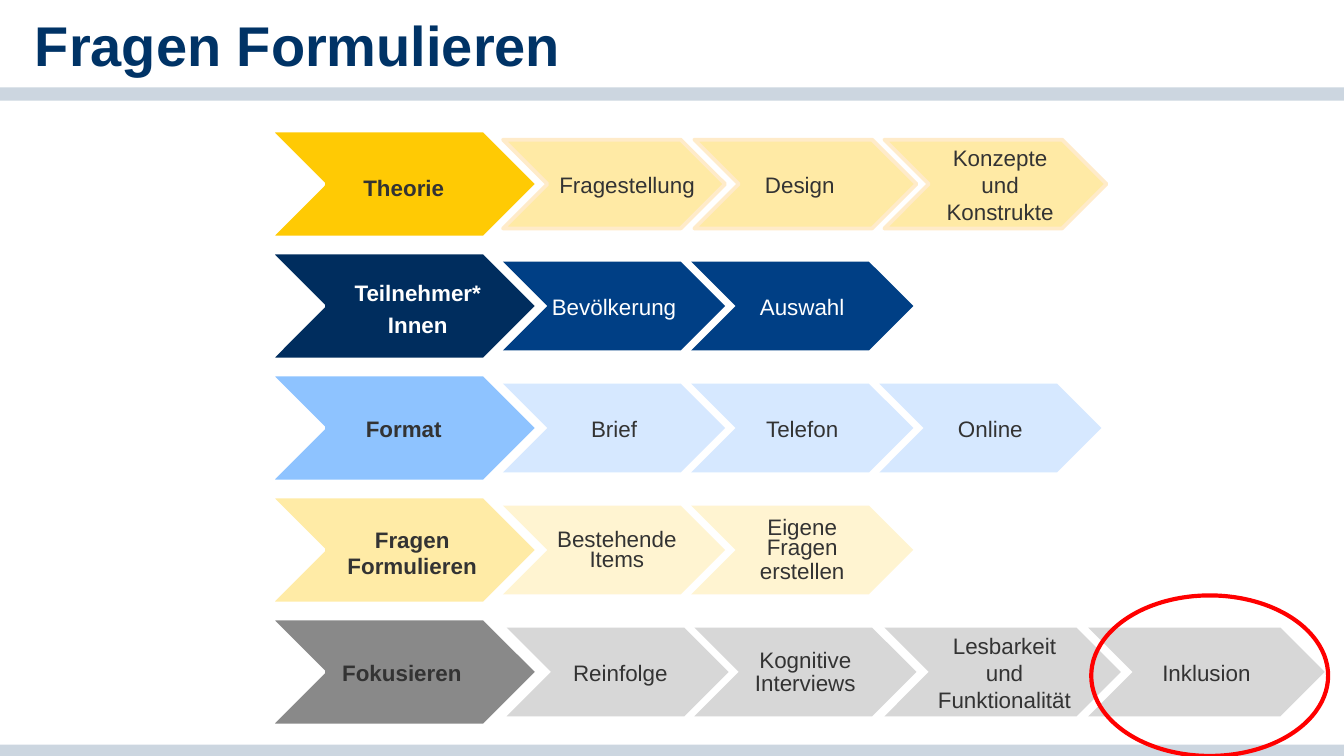
from lxml.etree import SubElement
from pptx import Presentation
from pptx.dml.color import RGBColor
from pptx.enum.shapes import MSO_SHAPE as Shape
from pptx.enum.text import MSO_ANCHOR as Anchor, MSO_AUTO_SIZE as AutoSize, PP_ALIGN as Align
from pptx.oxml.ns import qn
from pptx.util import Pt

DARK, WHITE, NAVY, BAR, RED = "333333", "FFFFFF", "003366", "CCD6E0", "FF0000"

# Row grid
FIRST_CENTER, ROW_PITCH = 98.6, 65.35
HEAD_LEFT, HEAD_WIDTH, HEAD_HEIGHT = 144.7, 143.3, 57.3
STEP_LEFT, STEP_PITCH, STEP_WIDTH, STEP_HEIGHT = 269.5, 100.8, 119, 47.6
WIDE_STEP = 126.7
LABEL_WIDTH, LABEL_HEIGHT = 72, 21.6

# Heading and steps: (text, label format); "left" and "width" override the grid
ROWS = [
    dict(fill="FFCA04", step_fill="FFE89A", step_line="FFEBC9", alpha=89,
         heading=("Theorie", dict(spacing=15.1, before=2.9, inset=3)),
         steps=[("Fragestellung", dict(shift=7, label_width=80)),
                ("Design", dict(left=372, shift=-3)),
                ("Konzepte und Konstrukte", dict(left=473.8, shift=2.5))]),
    dict(fill="002D5E", step_fill="003F85", color=WHITE,
         heading=("Teilnehmer*\nInnen",
                  dict(shift=7.5, label_width=84, spacing=14, before=2.8, inset=3)),
         steps=[("Bevölkerung", {}), ("Auswahl", {})]),
    dict(fill="8EC3FF", step_fill="D1E6FF", alpha=89,
         heading=("Format", {}),
         steps=[("Brief", {}), ("Telefon", {}), ("Online", {})]),
    dict(fill="FFEBA6", step_fill="FFF3CC", alpha=89,
         heading=("Fragen Formulieren", dict(shift=4.5, spacing=14, before=2.8, inset=3)),
         steps=[("Bestehende Items", dict(shift=1.5, spacing=10.8, before=2.4, inset=2)),
                ("Eigene Fragen\nerstellen", dict(spacing=10.8, before=2.4, inset=2))]),
    dict(fill="898989", step_fill="D7D7D7",
         heading=("Fokusieren", dict(shift=-1)),
         steps=[("Reinfolge", dict(left=271.4, shift=1.5)),
                ("Kognitive Interviews", dict(left=372, spacing=11.9, before=1.4, inset=1.5)),
                ("Lesbarkeit und Funktionalität", dict(left=473.8, width=WIDE_STEP, shift=1)),
                ("Inklusion", dict(left=583, width=WIDE_STEP))]),
]


def rgb(value):
    return RGBColor.from_string(value)


def write_text(frame, text, size=12, color=DARK, bold=False, align=Align.CENTER,
               anchor=Anchor.MIDDLE, spacing=None, before=1, inset=1):
    """Fill a text frame, one paragraph per line of text."""
    frame.word_wrap = True
    frame.auto_size = AutoSize.NONE
    frame.vertical_anchor = anchor
    frame.margin_left = frame.margin_right = frame.margin_bottom = 0
    frame.margin_top = Pt(inset)
    for index, line in enumerate(text.split("\n")):
        paragraph = frame.add_paragraph() if index else frame.paragraphs[0]
        paragraph.alignment = align
        paragraph.space_before = Pt(before)
        if spacing:
            paragraph.line_spacing = Pt(spacing)
        run = paragraph.add_run()
        run.text = line
        run.font.name = "Arial"
        run.font.size = Pt(size)
        run.font.bold = bold
        run.font.color.rgb = rgb(color)


def add_outline(slide, kind, left, top, width, height, fill=None, alpha=None,
                line=None, line_width=2):
    """Add a preset shape with an optional fill and line."""
    shape = slide.shapes.add_shape(kind, Pt(left), Pt(top), Pt(width), Pt(height))
    shape.shadow.inherit = False
    if fill:
        shape.fill.solid()
        shape.fill.fore_color.rgb = rgb(fill)
        if alpha:
            color_node = shape.fill._xPr.find(qn("a:solidFill"))[0]
            SubElement(color_node, qn("a:alpha"), val=str(alpha * 1000))
    else:
        shape.fill.background()
    if line:
        shape.line.color.rgb = rgb(line)
        shape.line.width = Pt(line_width)
    else:
        shape.line.fill.background()
    return shape


def add_label(slide, text, center_x, center_y, width, **text_format):
    box = slide.shapes.add_textbox(Pt(center_x - width / 2), Pt(center_y - LABEL_HEIGHT / 2),
                                   Pt(width), Pt(LABEL_HEIGHT))
    write_text(box.text_frame, text, **text_format)


def add_arrow(slide, text, center_y, left, width, height, shift=0,
              label_width=LABEL_WIDTH, color=DARK, bold=False, spacing=None,
              before=1, inset=1, **outline):
    """Add a chevron with its label centred on it, moved sideways by shift."""
    add_outline(slide, Shape.CHEVRON, left, center_y - height / 2, width, height, **outline)
    add_label(slide, text, left + width / 2 + shift, center_y, label_width, color=color,
              bold=bold, spacing=spacing, before=before, inset=inset)


def add_row(slide, center_y, row):
    color = row.get("color", DARK)
    text, options = row["heading"]
    add_arrow(slide, text, center_y, HEAD_LEFT, HEAD_WIDTH, HEAD_HEIGHT, color=color,
              bold=True, fill=row["fill"], line=WHITE, **options)
    for index, (text, options) in enumerate(row["steps"]):
        place = dict(left=STEP_LEFT + index * STEP_PITCH, width=STEP_WIDTH)
        add_arrow(slide, text, center_y, height=STEP_HEIGHT, color=color,
                  fill=row["step_fill"], alpha=row.get("alpha"),
                  line=row.get("step_line"), **{**place, **options})


def add_title(slide, text):
    title = slide.shapes.title
    title.left, title.top, title.width, title.height = Pt(18.7), Pt(5.8), Pt(508), Pt(34)
    write_text(title.text_frame, text, size=30, color=NAVY, bold=True, align=Align.LEFT,
               anchor=Anchor.TOP, before=0, inset=0)


def main():
    presentation = Presentation()
    presentation.slide_width, presentation.slide_height = Pt(720), Pt(405)
    slide = presentation.slides.add_slide(presentation.slide_layouts[5])

    # Title and bars
    add_title(slide, "Fragen Formulieren")
    for top, height in ((46.8, 7.2), (399, 6)):
        add_outline(slide, Shape.RECTANGLE, 0, top, 720, height, fill=BAR)

    # Arrow rows
    for index, row in enumerate(ROWS):
        add_row(slide, FIRST_CENTER + index * ROW_PITCH, row)

    # Highlight around the last step
    add_outline(slide, Shape.OVAL, 584.6, 319, 126.9, 86, line=RED, line_width=2.25)

    presentation.save("out.pptx")


if __name__ == "__main__":
    main()
